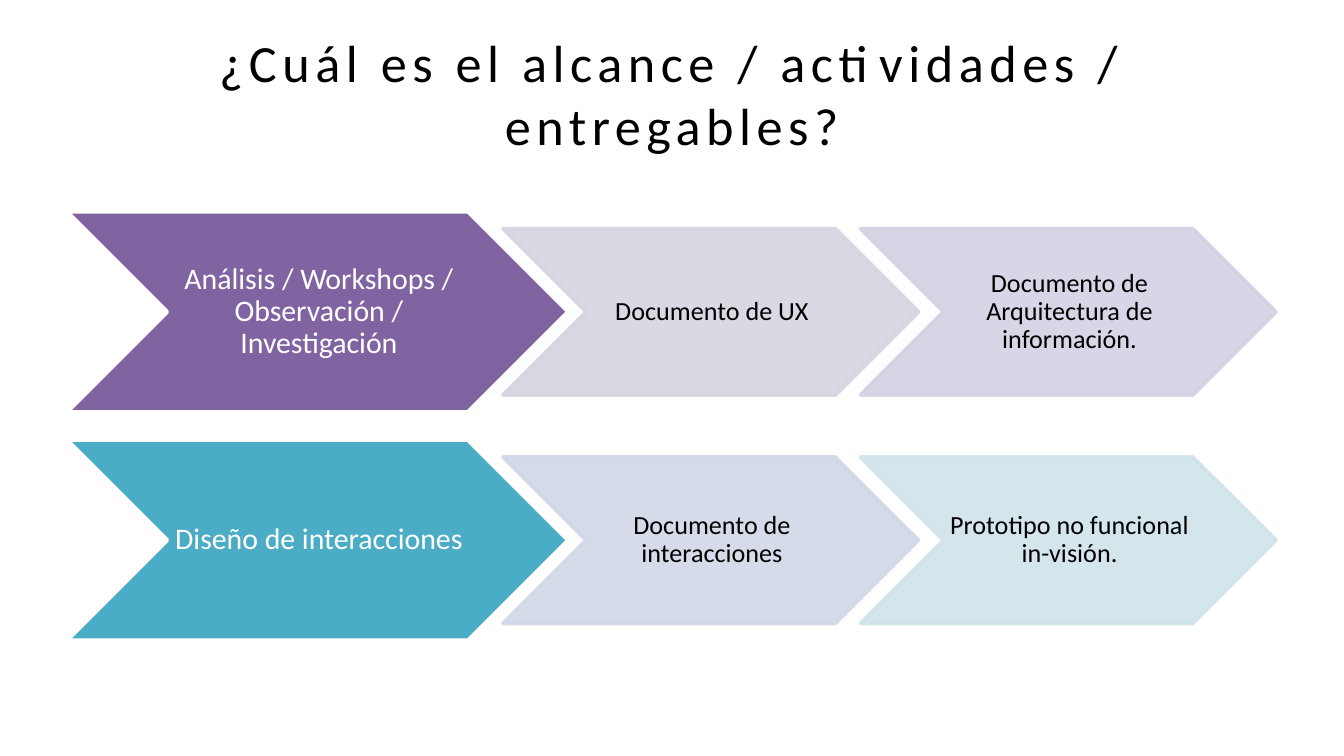
from dataclasses import dataclass

from lxml.etree import SubElement
from pptx import Presentation
from pptx.dml.color import RGBColor
from pptx.enum.shapes import MSO_SHAPE as Shape
from pptx.enum.text import MSO_ANCHOR as Anchor, MSO_AUTO_SIZE as AutoSize, PP_ALIGN as Align
from pptx.oxml.ns import qn
from pptx.util import Inches, Pt


@dataclass(frozen=True)
class Theme:
    font: str = "Calibri"
    dark: str = "000000"
    light: str = "FFFFFF"
    title_size: int = 28
    lead_size: int = 16
    item_size: int = 14
    line: int = 2
    item_alpha: int = 90


THEME = Theme()
WIDTH = 10
HEIGHT = WIDTH * 9 / 16
TITLE_BOX = (0.05 * WIDTH, 0.04 * HEIGHT, 0.9 * WIDTH, 0.94)
FLOW_BOX = (0.05 * WIDTH, 0.28 * HEIGHT, 0.9 * WIDTH, 3.19)

ROW_GAP = 0.14
ASPECT = 2.5
ITEM_SCALE = 0.83
LEAD_OVERLAP = 0.13
ITEM_OVERLAP = 0.14

FLOW = [
    (("Análisis / Workshops / Observación / Investigación", "8064A2"),
     [("Documento de UX", "D8D3E0"),
      ("Documento de Arquitectura de información.", "D2D2E4")]),
    (("Diseño de interacciones", "4BACC6"),
     [("Documento de interacciones", "D1D8E7"),
      ("Prototipo no funcional in-visión.", "D0E3EA")]),
]


def add_text(tf, text, *, size, color, spacing=None, line_spacing=None):
    tf.word_wrap = True
    tf.auto_size = AutoSize.NONE
    tf.vertical_anchor = Anchor.MIDDLE
    p = tf.paragraphs[0]
    p.alignment = Align.CENTER
    p.line_spacing = line_spacing
    r = p.add_run()
    r.text = text
    r.font.name = THEME.font
    r.font.size = Pt(size)
    r.font.color.rgb = RGBColor.from_string(color)
    if spacing:
        r.font._element.set("spc", str(spacing * 100))


def paint(fill, color, alpha):
    fill.solid()
    fill.fore_color.rgb = RGBColor.from_string(color)
    if alpha < 100:
        clr = fill._xPr.find(qn("a:solidFill"))[0]
        SubElement(clr, qn("a:alpha")).set("val", str(alpha * 1000))


def add_chevron(slide, box, text, *, fill, line, size, color, alpha=100):
    sp = slide.shapes.add_shape(Shape.CHEVRON, *map(Inches, box))
    sp.shadow.inherit = False
    paint(sp.fill, fill, alpha)
    paint(sp.line.fill, line, alpha)
    sp.line.width = Pt(THEME.line)
    tf = sp.text_frame
    tf.margin_left, tf.margin_right = Inches(0.02), 0
    tf.margin_top = tf.margin_bottom = Inches(0.01)
    add_text(tf, text, size=size, color=color, line_spacing=0.9)


def add_title(slide, box, text):
    sp = slide.shapes.title
    sp.left, sp.top, sp.width, sp.height = map(Inches, box)
    add_text(sp.text_frame, text, size=THEME.title_size, color=THEME.dark, spacing=3)


def add_row(slide, box, lead, items):
    x, y, _, h = box
    w = ASPECT * h
    text, fill = lead
    add_chevron(slide, (x, y, w, h), text, fill=fill, line=THEME.light,
                size=THEME.lead_size, color=THEME.light)
    x += w * (1 - LEAD_OVERLAP)
    item_w, item_h = w * ITEM_SCALE, h * ITEM_SCALE
    item_y = y + (h - item_h) / 2
    for text, fill in items:
        add_chevron(slide, (x, item_y, item_w, item_h), text, fill=fill, line=fill,
                    size=THEME.item_size, color=THEME.dark, alpha=THEME.item_alpha)
        x += item_w * (1 - ITEM_OVERLAP)


def add_flow(slide, box, rows):
    x, y, w, h = box
    row_h = h / (len(rows) + ROW_GAP * (len(rows) - 1))
    for i, (lead, items) in enumerate(rows):
        add_row(slide, (x, y + i * row_h * (1 + ROW_GAP), w, row_h), lead, items)


def main():
    prs = Presentation()
    prs.slide_width, prs.slide_height = Inches(WIDTH), Inches(HEIGHT)
    slide = prs.slides.add_slide(prs.slide_layouts.get_by_name("Title Only"))
    add_title(slide, TITLE_BOX, "¿Cuál es el alcance / actividades / entregables?")
    add_flow(slide, FLOW_BOX, FLOW)
    prs.save("out.pptx")


if __name__ == "__main__":
    main()
